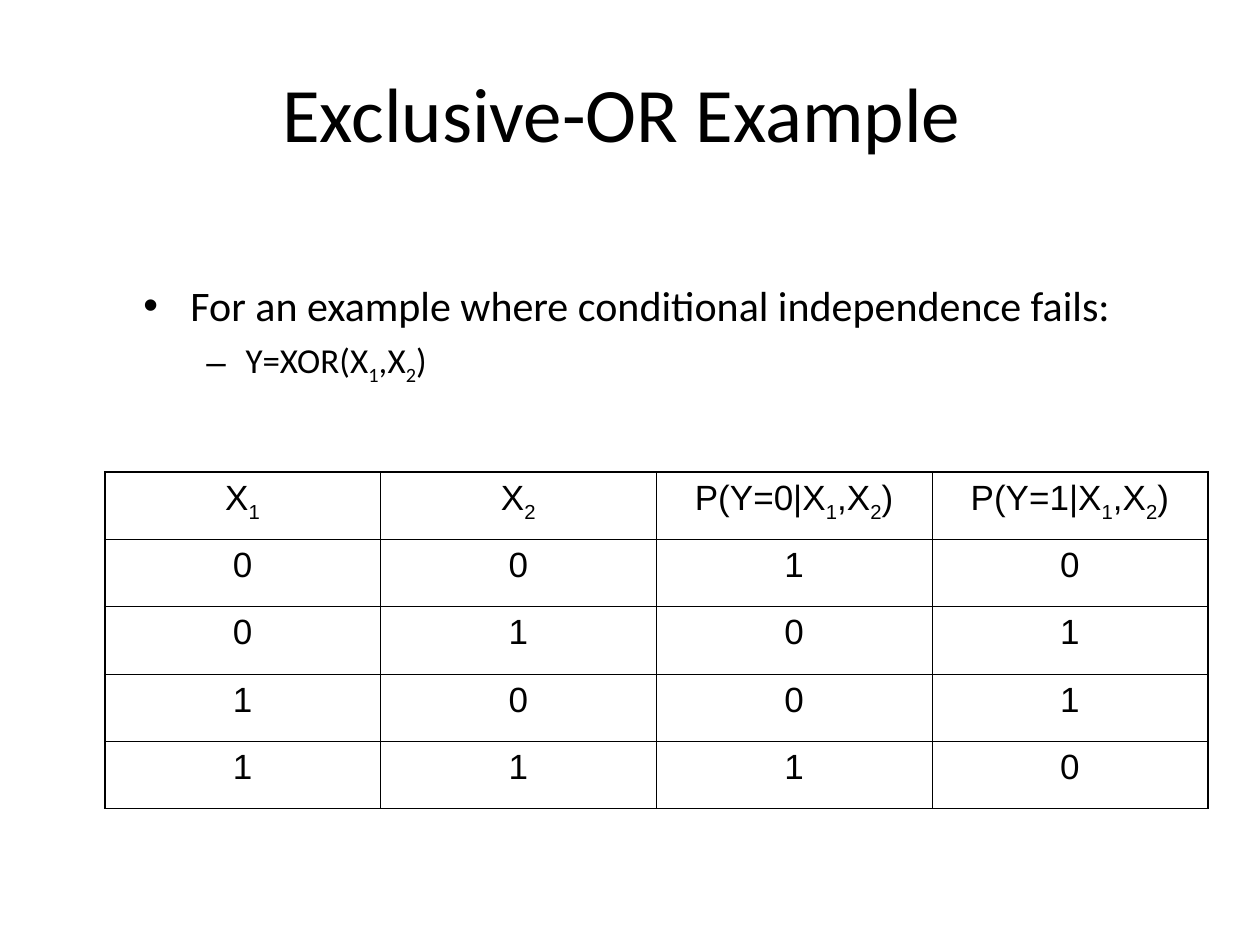
from dataclasses import dataclass
from itertools import product

from lxml.etree import SubElement
from pptx import Presentation
from pptx.dml.color import RGBColor
from pptx.enum.text import MSO_ANCHOR, PP_ALIGN
from pptx.oxml import parse_xml
from pptx.oxml.ns import nsdecls, qn
from pptx.util import Cm, Pt


@dataclass(frozen=True)
class Theme:
    ink: str = "000000"
    paper: str = "FFFFFF"
    text_font: str = "Calibri"
    table_font: str = "Arial"
    title_size: int = 44
    lead_size: int = 24
    small_size: int = 20
    outer_line: float = 1.08
    inner_line: float = 0.45


@dataclass(frozen=True)
class Box:
    left: float
    top: float
    width: float
    height: float

    def place(self) -> tuple:
        return Cm(self.left), Cm(self.top), Cm(self.width), Cm(self.height)


@dataclass(frozen=True)
class Bullet:
    char: str
    level: int
    margin: float
    hang: float


THEME = Theme()
TITLE_BOX = Box(2.59, 0.28, 19.89, 3.94)
BODY_BOX = Box(2.64, 5.51, 21.08, 11.43)
TABLE_BOX = Box(2.11, 9.52, 22.24, 6.78)
TRUTH_TABLE = [
    ["X_1", "X_2", "P(Y=0|X_1,X_2)", "P(Y=1|X_1,X_2)"],
    ["0", "0", "1", "0"],
    ["0", "1", "0", "1"],
    ["1", "0", "0", "1"],
    ["1", "1", "1", "0"],
]


def split_subscripts(text: str) -> list[tuple[str, bool]]:
    first, *rest = text.split("_")
    pieces = [(first, False)]
    for part in rest:
        pieces += [(part[0], True), (part[1:], False)]
    return [piece for piece in pieces if piece[0]]


def write(p, text: str, *, size: int, font: str = THEME.text_font,
          align=PP_ALIGN.LEFT, before: int = 0, bullet: Bullet | None = None) -> None:
    p.alignment = align
    p.space_before = Pt(before)
    if bullet:
        p.level = bullet.level
        pPr = p._p.get_or_add_pPr()
        pPr.set("marL", str(Cm(bullet.margin)))
        pPr.set("indent", str(-Cm(bullet.hang)))
        SubElement(pPr, qn("a:buFont"), typeface="Arial")
        SubElement(pPr, qn("a:buChar"), char=bullet.char)
    for piece, lowered in split_subscripts(text):
        r = p.add_run()
        r.text = piece
        r.font.size = Pt(size)
        r.font.name = font
        r.font.color.rgb = RGBColor.from_string(THEME.ink)
        if lowered:
            r.font._element.set("baseline", "-25000")


def add_text_box(s, box: Box, anchor=MSO_ANCHOR.TOP):
    tf = s.shapes.add_textbox(*box.place()).text_frame
    tf.word_wrap = True
    tf.vertical_anchor = anchor
    return tf


def set_borders(cell, outer: dict[str, bool]) -> None:
    tcPr = cell._tc.get_or_add_tcPr()
    for i, (side, is_outer) in enumerate(outer.items()):
        width = Pt(THEME.outer_line if is_outer else THEME.inner_line)
        tcPr.insert(i, parse_xml(
            f'<a:ln{side} {nsdecls("a")} w="{width}"><a:solidFill>'
            f'<a:srgbClr val="{THEME.ink}"/></a:solidFill></a:ln{side}>'))


def add_truth_table(s, box: Box, rows: list[list[str]]) -> None:
    n_rows, n_cols = len(rows), len(rows[0])
    table = s.shapes.add_table(n_rows, n_cols, *box.place()).table
    table.first_row = table.horz_banding = False
    for i, j in product(range(n_rows), range(n_cols)):
        cell = table.cell(i, j)
        cell.fill.background()
        write(cell.text_frame.paragraphs[0], rows[i][j], size=THEME.small_size,
              font=THEME.table_font, align=PP_ALIGN.CENTER, before=5)
        set_borders(cell, {"L": j == 0, "R": j == n_cols - 1,
                           "T": i == 0, "B": i == n_rows - 1})


def main() -> None:
    prs = Presentation()
    prs.slide_width, prs.slide_height = Cm(25.4), Cm(19.05)
    s = prs.slides.add_slide(prs.slide_layouts[6])
    s.background.fill.solid()
    s.background.fill.fore_color.rgb = RGBColor.from_string(THEME.paper)

    title = add_text_box(s, TITLE_BOX, MSO_ANCHOR.MIDDLE)
    write(title.paragraphs[0], "Exclusive-OR Example",
          size=THEME.title_size, align=PP_ALIGN.CENTER)

    body = add_text_box(s, BODY_BOX)
    write(body.paragraphs[0], "For an example where conditional independence fails:",
          size=THEME.lead_size, before=6, bullet=Bullet("•", 0, 0.95, 0.95))
    write(body.add_paragraph(), "Y=XOR(X_1,X_2)",
          size=THEME.small_size, before=5, bullet=Bullet("–", 1, 2.06, 0.79))

    add_truth_table(s, TABLE_BOX, TRUTH_TABLE)
    prs.save("out.pptx")


if __name__ == "__main__":
    main()
